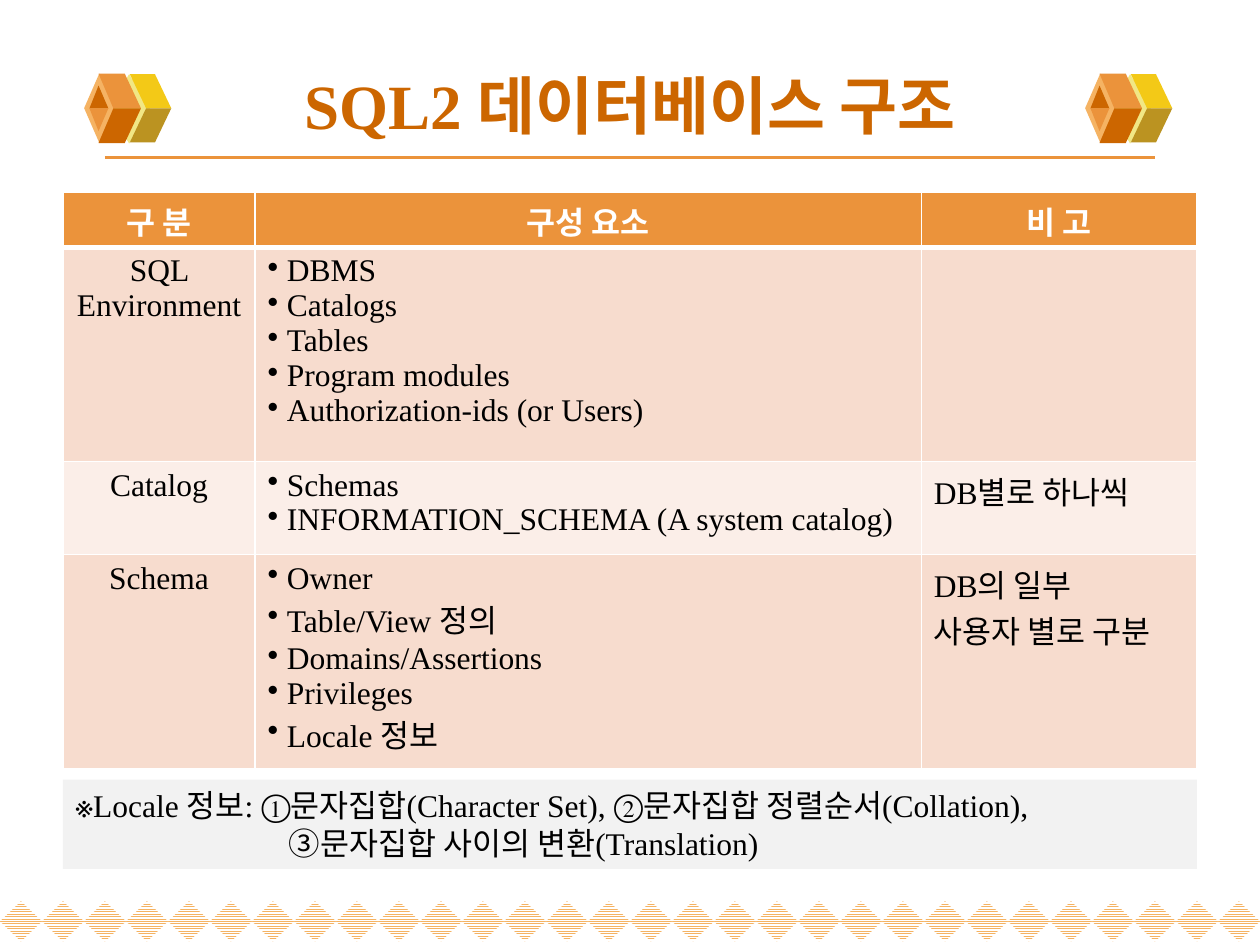
from lxml.etree import SubElement
from pptx import Presentation
from pptx.dml.color import RGBColor
from pptx.enum.dml import MSO_PATTERN
from pptx.enum.shapes import MSO_CONNECTOR, MSO_SHAPE
from pptx.enum.text import MSO_ANCHOR, MSO_AUTO_SIZE, PP_ALIGN
from pptx.oxml.ns import qn
from pptx.util import Pt

HEX = {
    "white": "FFFFFF", "black": "000000", "rust": "CC6600",
    "orange": "EB933B", "peach": "F5B363", "cream": "F1E785",
    "yellow": "F3C917", "olive": "BB9321", "rose": "F7DCCE",
    "pale": "FBEEE8", "gray": "F2F2F2",
}
RGB = {name: RGBColor.from_string(code) for name, code in HEX.items()}
BASE = {"name": "Times New Roman", "size": Pt(18), "bold": False}
HEAD = {**BASE, "bold": True}
TITLE = {**HEAD, "size": Pt(36)}


def write(frame, lines, form, color, align=PP_ALIGN.LEFT, bullet=False):
    for i, line in enumerate(lines):
        para = frame.paragraphs[0] if i == 0 else frame.add_paragraph()
        para.alignment = align
        if bullet:
            props = para._p.get_or_add_pPr()
            props.set("marL", str(Pt(11)))
            props.set("indent", str(-Pt(11)))
            SubElement(props, qn("a:buChar"), char="•")
        run = para.add_run()
        run.text = line
        for key, val in form.items():
            setattr(run.font, key, val)
        run.font.color.rgb = RGB[color]


def paint(shape, color):
    shape.shadow.inherit = False
    shape.fill.solid()
    shape.fill.fore_color.rgb = RGB[color]
    shape.line.fill.background()


deck = Presentation()
deck.slide_width, deck.slide_height = Pt(720), Pt(540)
slide = deck.slides.add_slide(deck.slide_layouts[6])
shapes = slide.shapes

# Row of striped diamonds along the foot
for i in range(30):
    gem = shapes.add_shape(MSO_SHAPE.DIAMOND, Pt(24 * i), Pt(515), Pt(24), Pt(23))
    paint(gem, "peach")
    gem.fill.patterned()
    gem.fill.pattern = MSO_PATTERN.NARROW_HORIZONTAL
    gem.fill.fore_color.rgb = RGB["peach"]
    gem.fill.back_color.rgb = RGB["white"]

# Rule under the title
rule = shapes.add_connector(MSO_CONNECTOR.STRAIGHT, Pt(60), Pt(90), Pt(660), Pt(90))
rule.line.color.rgb = RGB["orange"]
rule.line.width = Pt(2.25)
SubElement(rule._element.spPr, qn("a:effectLst"))

# Cubes beside the title: each facet (x, rise) is mirrored about the middle
MID = 61.9
CUBE = [
    ("cream", (61.9, 42.4, 23.8, 39.6), []),
    (None, None, [("yellow", "olive", [(83.5, 0), (97.9, 0), (88.6, 19.5), (74.2, 19.5)])]),
    ("peach", (48.1, 42, 17.3, 39.6), []),
    (None, None, [("orange", "rust", [(64.8, 0), (80.6, 0), (71.3, 19.8), (56.3, 19.8)]),
                  ("rust", "orange", [(56.3, 13), (51.1, 0), (61.9, 0)])]),
]
for shift in (0, 572):
    for color, box, facets in CUBE:
        if box:
            left, top, wide, high = box
            side = shapes.add_shape(MSO_SHAPE.DIAMOND, Pt(left + shift), Pt(top),
                                    Pt(wide), Pt(high))
            paint(side, color)
        for upper, lower, points in facets:
            for tint, sign in ((upper, -1), (lower, 1)):
                spots = [(Pt(x + shift), Pt(MID + sign * rise)) for x, rise in points]
                pen = shapes.build_freeform(*spots[0])
                pen.add_line_segments(spots[1:], close=True)
                paint(pen.convert_to_shape(), tint)

# Title
title = shapes.add_textbox(Pt(36), Pt(32.4), Pt(648), Pt(54.7)).text_frame
title.word_wrap = True
title.vertical_anchor = MSO_ANCHOR.MIDDLE
write(title, ["SQL2 데이터베이스 구조"], TITLE, "rust", PP_ALIGN.CENTER)

# Table of parts
ROWS = [
    (["구 분"], ["구성 요소"], ["비 고"]),
    (["SQL Environment"],
     ["DBMS", "Catalogs", "Tables", "Program modules", "Authorization-ids (or Users)"], []),
    (["Catalog"], ["Schemas", "INFORMATION_SCHEMA (A system catalog)"], ["DB별로 하나씩"]),
    (["Schema"],
     ["Owner", "Table/View 정의", "Domains/Assertions", "Privileges", "Locale 정보"],
     ["DB의 일부", "사용자 별로 구분"]),
]
FILLS = ["orange", "rose", "pale", "rose"]
table = shapes.add_table(4, 3, Pt(36), Pt(109.6), Pt(648), Pt(329)).table
for col, wide in zip(table.columns, (109.8, 380.7, 157.5)):
    col.width = Pt(wide)
for row, high in zip(table.rows, (31.8, 122.4, 53.2, 122.4)):
    row.height = Pt(high)
for r, row in enumerate(ROWS):
    for c, lines in enumerate(row):
        cell = table.cell(r, c)
        props = cell._tc.get_or_add_tcPr()
        for edge in "LRTB":
            thick = 3 if (r, edge) in ((0, "B"), (1, "T")) else 1
            line = SubElement(props, qn("a:ln" + edge), w=str(Pt(thick)))
            ink = SubElement(line, qn("a:solidFill"))
            SubElement(ink, qn("a:srgbClr"), val=HEX["white"])
        cell.fill.solid()
        cell.fill.fore_color.rgb = RGB[FILLS[r]]
        form, color = (HEAD, "white") if r == 0 else (BASE, "black")
        align = PP_ALIGN.CENTER if r == 0 or c == 0 else PP_ALIGN.LEFT
        write(cell.text_frame, lines, form, color, align, r > 0 and c == 1)
        if not lines:
            cell.text_frame.paragraphs[0].font.size = BASE["size"]

# Footnote, its second line set in
note = shapes.add_shape(MSO_SHAPE.RECTANGLE, Pt(36), Pt(445.5), Pt(648), Pt(51))
paint(note, "gray")
frame = note.text_frame
frame.word_wrap = True
frame.auto_size = MSO_AUTO_SIZE.SHAPE_TO_FIT_TEXT
frame.vertical_anchor = MSO_ANCHOR.TOP
write(frame, ["※Locale 정보: ①문자집합(Character Set), ②문자집합 정렬순서(Collation),",
              "③문자집합 사이의 변환(Translation)"], BASE, "black")
frame.paragraphs[1]._p.get_or_add_pPr().set("marL", str(Pt(122)))

deck.save("out.pptx")
